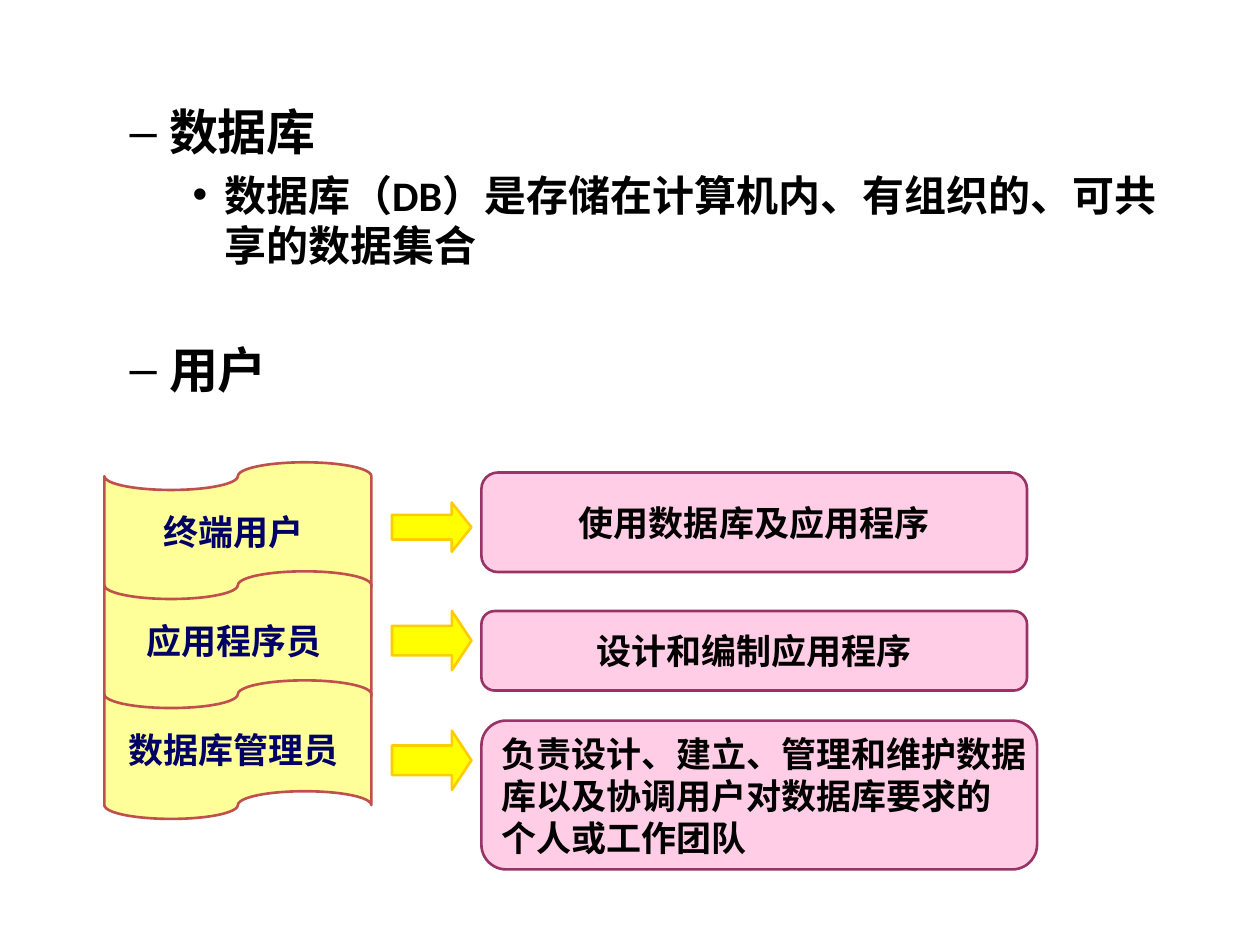
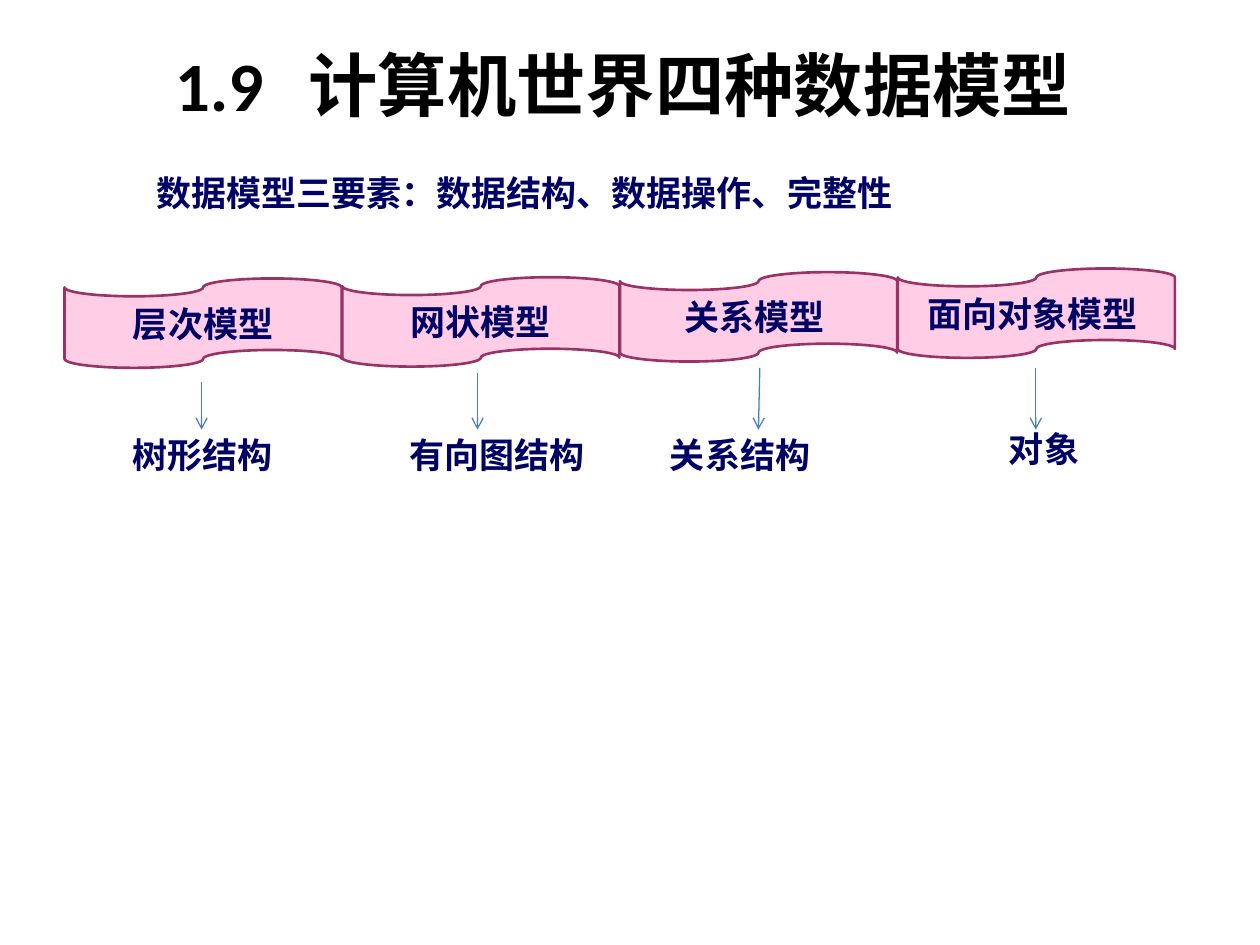
from lxml.etree import SubElement
from pptx import Presentation
from pptx.dml.color import RGBColor
from pptx.enum.shapes import MSO_CONNECTOR as LINE, MSO_SHAPE as SHAPE
from pptx.enum.text import MSO_ANCHOR as ANCHOR, PP_ALIGN as ALIGN
from pptx.oxml.ns import qn
from pptx.util import Pt

NAVY, BLACK = "000066", "000000"
YELLOW_STYLE = dict(fill="FFFF99", line="C0504D")
PINK_STYLE = dict(fill="FF99CC", line="993366", alpha=48)
ARROW_STYLE = dict(fill="FFFF00", line="FFCC00")


def color(hex_code):
    return RGBColor.from_string(hex_code)


def write(frame, text, size=20, ink=NAVY, font="Arial", align=ALIGN.LEFT,
          before=0, bullet=None, margin=0, hanging=0, tab=None, append=False):
    """Write each line of text as a paragraph of the frame."""
    for number, line in enumerate(text.split("\n")):
        new = append or number > 0
        paragraph = frame.add_paragraph() if new else frame.paragraphs[0]
        paragraph.alignment = align
        paragraph.space_before = Pt(before)
        props = paragraph._p.get_or_add_pPr()
        if bullet:
            props.set("marL", str(Pt(margin)))
            props.set("indent", str(-Pt(hanging)))
            SubElement(props, qn("a:buFont"), typeface="Arial")
            SubElement(props, qn("a:buChar"), char=bullet)
        if tab:
            stops = SubElement(props, qn("a:tabLst"))
            SubElement(stops, qn("a:tab"), pos=str(Pt(tab)), algn="l")
        run = paragraph.add_run()
        run.text = line
        run.font.size = Pt(size)
        run.font.bold = True
        run.font.name = font
        run.font.color.rgb = color(ink)


def text_box(slide, left, top, width, height, wrap=False, anchor=ANCHOR.TOP):
    frame = slide.shapes.add_textbox(Pt(left), Pt(top), Pt(width), Pt(height)).text_frame
    frame.word_wrap = wrap
    frame.vertical_anchor = anchor
    return frame


def block(slide, kind, left, top, width, height, fill, line, alpha=None):
    shape = slide.shapes.add_shape(kind, Pt(left), Pt(top), Pt(width), Pt(height))
    shape.shadow.inherit = False
    shape.fill.solid()
    shape.fill.fore_color.rgb = color(fill)
    if alpha:
        tint = shape.fill._xPr.find(".//" + qn("a:srgbClr"))
        SubElement(tint, qn("a:alpha"), val=str(alpha * 1000))
    shape.line.color.rgb = color(line)
    shape.line.width = Pt(1.5)
    shape.text_frame.word_wrap = False
    shape.text_frame.vertical_anchor = ANCHOR.MIDDLE
    return shape


def tape(slide, label, left, top, width, height, style):
    shape = block(slide, SHAPE.FLOWCHART_PUNCHED_TAPE, left, top, width, height, **style)
    write(shape.text_frame, label, align=ALIGN.CENTER)


def down_arrow(slide, start_x, end_x, top, bottom):
    arrow = slide.shapes.add_connector(LINE.STRAIGHT, Pt(start_x), Pt(top), Pt(end_x), Pt(bottom))
    arrow.line.color.rgb = color("4B7EBC")
    arrow.line.width = Pt(0.75)
    SubElement(arrow.line._get_or_add_ln(), qn("a:tailEnd"), type="arrow")
    SubElement(arrow._element.spPr, qn("a:effectLst"))


def outline(slide, left, top, width, height):
    frame = text_box(slide, left, top, width, height, wrap=True)
    topic = dict(size=28, ink=BLACK, font="Calibri", bullet="–", margin=58.5, hanging=22.5)
    detail = dict(topic, size=24, bullet="•", margin=90, hanging=18)
    write(frame, "数据库", **topic)
    write(frame, "数据库（DB）是存储在计算机内、有组织的、可共享的数据集合",
          before=4.8, append=True, **detail)
    write(frame, "用户", before=39.6, append=True, **topic)


def user_roles(slide, left, top):
    """Tapes of users, each with an arrow to its duty."""
    tape_step = 62.3
    # role, duty, duty top, duty width, duty height, alignment, arrow top, arrow height, arrow head
    roles = [
        ("终端用户 ", "使用数据库及应用程序",
         5.8, 311.8, 56.9, ALIGN.CENTER, 23, 28.1, 0.4),
        ("应用程序员 ", "设计和编制应用程序",
         85, 311.8, 45.4, ALIGN.CENTER, 85, 33.8, 0.33),
        ("数据库管理员 ", "负责设计、建立、管理和维护数据\n库以及协调用户对数据库要求的\n个人或工作团队",
         147.6, 317.5, 85, ALIGN.LEFT, 153.4, 33.8, 0.33),
    ]
    for row, (role, duty, duty_top, duty_width, duty_height, align,
              arrow_top, arrow_height, head) in enumerate(roles):
        tape(slide, role, left, top + row * tape_step, 152.6, 79.2, YELLOW_STYLE)
        arrow = block(slide, SHAPE.RIGHT_ARROW, left + 164.4, top + arrow_top,
                      45.4, arrow_height, **ARROW_STYLE)
        arrow.adjustments[1] = head
        duty_box = block(slide, SHAPE.FLOWCHART_ALTERNATE_PROCESS, left + 215.5,
                         top + duty_top, duty_width, duty_height, **PINK_STYLE)
        write(duty_box.text_frame, duty, ink=BLACK, align=align)


def title(slide, left, top, width, height):
    frame = text_box(slide, left, top, width, height, anchor=ANCHOR.MIDDLE)
    write(frame, "1.9\t计算机世界四种数据模型", size=39.6, ink=BLACK, font="Calibri", tab=76.5)


def data_models(slide, left, top):
    """Tapes of models, each with an arrow down to its structure."""
    tape_step, arrow_end = 158.7, 92.1
    # model, tape top, arrow start x, arrow end x, arrow top, structure, its left, top and width
    models = [
        ("层次模型", 5.7, 78.3, 78.3, 64.8, "树形结构", 31.5, 90.7, 95.8),
        ("网状模型", 5, 236, 236, 59.7, "有向图结构", 189.9, 90.7, 115.9),
        ("关系模型 ", 2.1, 397.3, 396.5, 56.8, "关系结构", 338.9, 90.7, 95.8),
        ("面向对象模型 ", 0, 555, 555, 56.8, "对象", 532.6, 87.1, 55.4),
    ]
    for column, (model, tape_top, start_x, end_x, arrow_top,
                 structure, label_left, label_top, label_width) in enumerate(models):
        tape(slide, model, left + column * tape_step, top + tape_top, 158.4, 51.1, PINK_STYLE)
        down_arrow(slide, left + start_x, left + end_x, top + arrow_top, top + arrow_end)
        write(text_box(slide, left + label_left, top + label_top, label_width, 31.7), structure)


def main():
    deck = Presentation()
    deck.slide_width, deck.slide_height = Pt(720), Pt(540)
    blank = deck.slide_layouts[6]

    users = deck.slides.add_slide(blank)
    outline(users, 31, 54.7, 658, 436.3)
    user_roles(users, 59.6, 264.2)

    models = deck.slides.add_slide(blank)
    title(models, 92.8, 22, 540, 52)
    write(text_box(models, 82.1, 94.3, 441.4, 31.7), "数据模型三要素：数据结构、数据操作、完整性")
    data_models(models, 36.9, 153.4)

    deck.save("out.pptx")


if __name__ == "__main__":
    main()
